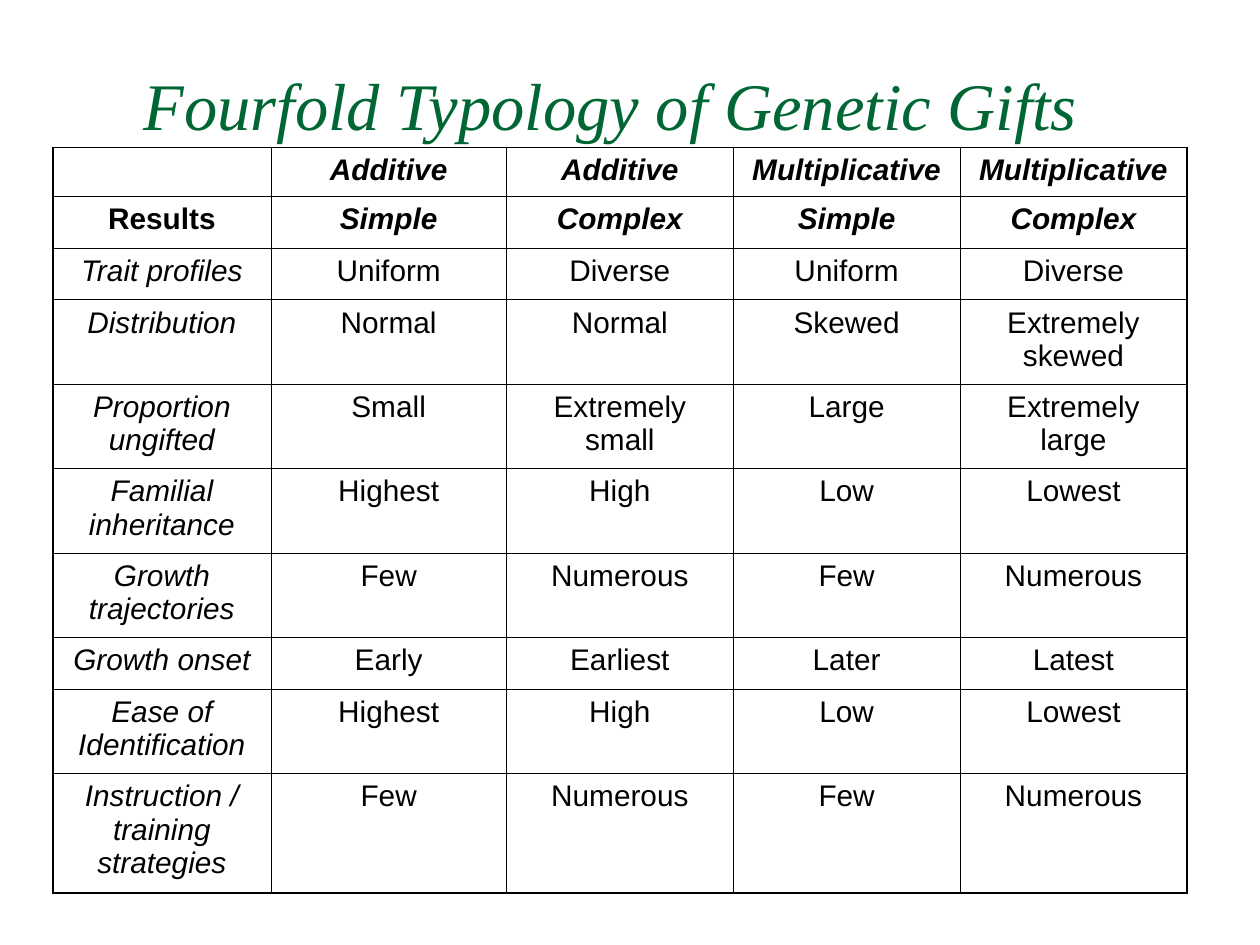
from lxml import etree
from pptx import Presentation
from pptx.dml.color import RGBColor
from pptx.enum.text import MSO_ANCHOR, PP_ALIGN
from pptx.oxml.ns import qn
from pptx.util import Inches, Pt

CENTER = PP_ALIGN.CENTER
TOP = MSO_ANCHOR.TOP
BOTTOM = MSO_ANCHOR.BOTTOM
BLACK = "000000"
GREEN = "006633"
THICK = 1.08
THIN = 0.45
WIDTHS = [1.73, 1.87, 1.8, 1.8, 1.8]
HEIGHTS = [0.39, 0.41, 0.41, 0.67, 0.67, 0.67, 0.67, 0.41, 0.67, 0.95]
ROWS = [
    ["", "Additive", "Additive", "Multiplicative", "Multiplicative"],
    ["Results", "Simple", "Complex", "Simple", "Complex"],
    ["Trait profiles", "Uniform", "Diverse", "Uniform", "Diverse"],
    ["Distribution", "Normal", "Normal", "Skewed", "Extremely skewed"],
    ["Proportion ungifted", "Small", "Extremely small", "Large", "Extremely large"],
    ["Familial inheritance", "Highest", "High", "Low", "Lowest"],
    ["Growth trajectories", "Few", "Numerous", "Few", "Numerous"],
    ["Growth onset", "Early", "Earliest", "Later", "Latest"],
    ["Ease of Identification", "Highest", "High", "Low", "Lowest"],
    ["Instruction / training strategies", "Few", "Numerous", "Few", "Numerous"],
]


def color(code):
    return RGBColor.from_string(code)


def style(para, face, size, code, bold, slant):
    para.alignment = CENTER
    for font in [para.font] + [run.font for run in para.runs]:
        font.name = face
        font.size = Pt(size)
        font.color.rgb = color(code)
        font.bold = bold
        font.italic = slant


def add_title(slide, text):
    title = slide.shapes.title
    title.left, title.top = Inches(0.83), Inches(0.42)
    title.width, title.height = Inches(8.17), Inches(0.75)
    frame = title.text_frame
    frame.text = text
    frame.word_wrap = True
    frame.vertical_anchor = BOTTOM
    frame.margin_top = frame.margin_bottom = Inches(0.03)
    style(frame.paragraphs[0], "Times New Roman", 38, GREEN, False, True)


def add_edge(cell, index, side, width):
    props = cell._tc.get_or_add_tcPr()
    line = etree.Element(qn(f"a:ln{side}"), w=str(Pt(width)))
    fill = etree.SubElement(line, qn("a:solidFill"))
    etree.SubElement(fill, qn("a:srgbClr"), val=BLACK)
    props.insert(index, line)


def fill_cell(cell, text, row, col):
    cell.text_frame.text = text
    cell.vertical_anchor = TOP
    cell.fill.background()
    head = row < 2
    slant = col > 0 if head else col == 0
    style(cell.text_frame.paragraphs[0], "Arial", 17, BLACK, head, slant)
    outer = {
        "L": col == 0,
        "R": col == len(WIDTHS) - 1,
        "T": row == 0,
        "B": row == len(HEIGHTS) - 1,
    }
    for index, (side, edge) in enumerate(outer.items()):
        add_edge(cell, index, side, THICK if edge else THIN)


def add_grid(slide):
    table = slide.shapes.add_table(
        len(HEIGHTS), len(WIDTHS), Inches(0.42), Inches(1.17),
        Inches(sum(WIDTHS)), Inches(sum(HEIGHTS))).table
    table.first_row = False
    table.horz_banding = False
    for column, width in zip(table.columns, WIDTHS):
        column.width = Inches(width)
    for line, height in zip(table.rows, HEIGHTS):
        line.height = Inches(height)
    for row, texts in enumerate(ROWS):
        for col, text in enumerate(texts):
            fill_cell(table.cell(row, col), text, row, col)


def main():
    deck = Presentation()
    deck.slide_width, deck.slide_height = Inches(10), Inches(7.5)
    slide = deck.slides.add_slide(deck.slide_layouts[5])
    add_title(slide, "Fourfold Typology of Genetic Gifts ")
    add_grid(slide)
    deck.save("out.pptx")


if __name__ == "__main__":
    main()
